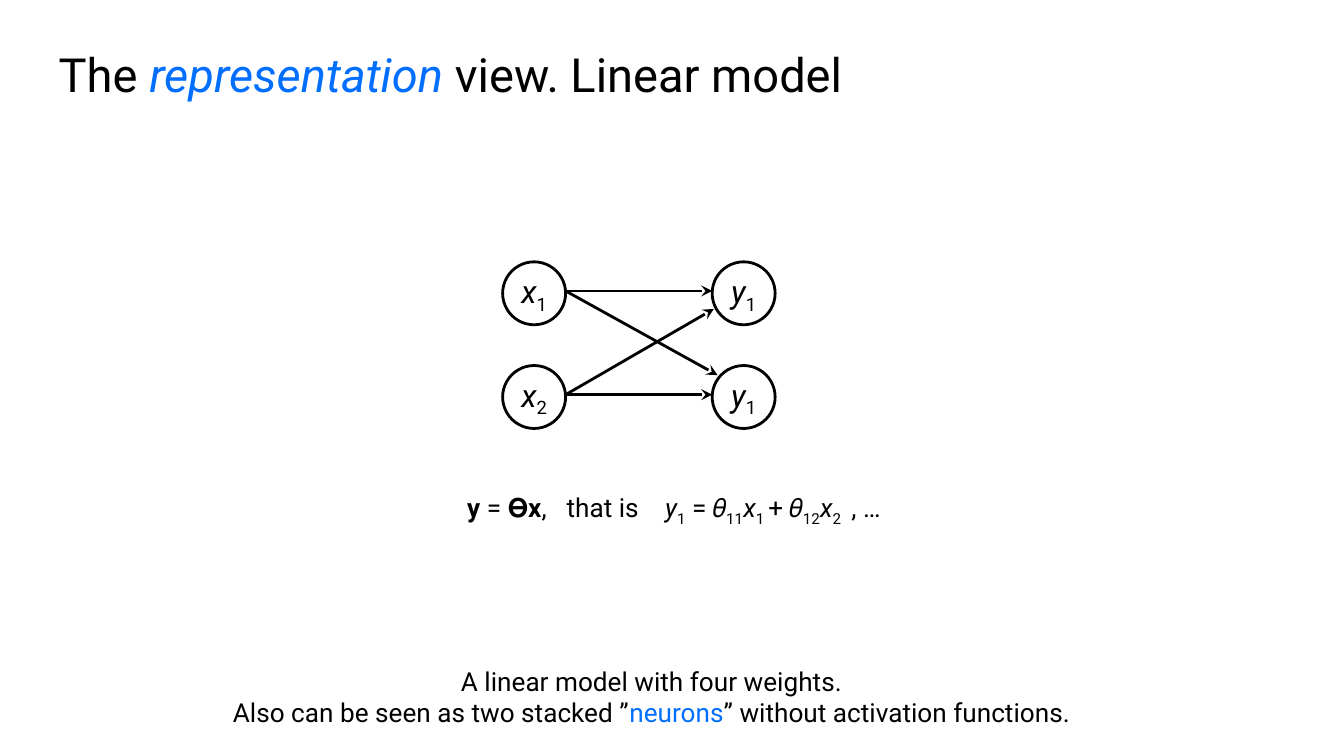
"""Build a slide showing a linear model as a small network of four weights."""
from lxml import etree
from pptx import Presentation
from pptx import util as u
from pptx.dml.color import RGBColor
from pptx.enum import shapes, text
from pptx.oxml.ns import qn

THEME = {
    "font": "Roboto", "ink": "000000", "accent": "006EFF", "paper": "FFFFFF",
    "title": 25.2, "node": 17, "body": 14, "line": 1.5,
}
STYLES = {
    "plain": {},
    "bold": {"bold": True},
    "italic": {"italic": True},
    "sub": {"baseline": "-25000"},
    "accent": {"color": "accent"},
    "accent italic": {"color": "accent", "italic": True},
}
TITLE = [[("The ", "plain"), ("representation", "accent italic"), (" view. Linear model", "plain")]]
CAPTION = [
    [("A linear model with four weights.", "plain")],
    [("Also can be seen as two stacked ”", "plain"), ("neurons", "accent"),
     ("” without activation functions.", "plain")],
]
EQUATION = [[
    ("y ", "bold"), ("=", "plain"), (" 𝚹x", "bold"), (",\tthat is\t", "plain"),
    ("y", "italic"), ("1", "sub"), (" = 𝜃", "plain"), ("11", "sub"),
    ("x", "italic"), ("1 ", "sub"), ("+ 𝜃", "plain"), ("12", "sub"),
    ("x", "italic"), ("2 ", "sub"), (" , …", "plain"),
]]
EQUATION_TABS = (1.88, 3.74)
TEXT_BOXES = [
    (TITLE, (0.86, 0.61, 23.67, 1.6), "title", "LEFT", ()),
    (CAPTION, (0.86, 12.32, 22.91, 1.7), "body", "CENTER", ()),
    (EQUATION, (8.58, 9.04, 10, 1.12), "body", "LEFT", EQUATION_TABS),
]
COLUMNS, ROWS, DIAMETER, PORT = (9.5, 13.46), (4.95, 6.91), 1.19, 0.55
NODES = [[("x", "1"), ("y", "1")], [("x", "2"), ("y", "1")]]
WEIGHTS = [(0, 0, (0, PORT)), (0, 1, (0.1, 0.18)), (1, 0, (0.03, 0.89)), (1, 1, (0, PORT))]


def color(name):
    return RGBColor.from_string(THEME[name])


def set_values(target, values):
    for name, value in values.items():
        setattr(target, name, value)


def write(frame, lines, size, align, tabs=()):
    for index, runs in enumerate(lines):
        paragraph = frame.paragraphs[0] if index == 0 else frame.add_paragraph()
        paragraph.alignment = getattr(text.PP_ALIGN, align)
        if tabs:
            tab_list = etree.SubElement(paragraph._p.get_or_add_pPr(), qn("a:tabLst"))
            for position in tabs:
                etree.SubElement(tab_list, qn("a:tab"), pos=str(u.Cm(position)), algn="l")
        for content, style in runs:
            values = dict(STYLES[style])
            run = paragraph.add_run()
            run.text = content
            run.font.color.rgb = color(values.pop("color", "ink"))
            if "baseline" in values:
                run._r.get_or_add_rPr().set("baseline", values.pop("baseline"))
            set_values(run.font, {"name": THEME["font"], "size": u.Pt(THEME[size]), **values})


def set_margins(frame, margin):
    sides = ("left", "top", "right", "bottom")
    set_values(frame, {f"margin_{side}": u.Cm(margin) for side in sides})


def set_line(shape):
    shape.line.color.rgb = color("ink")
    shape.line.width = u.Pt(THEME["line"])


def add_text(slide, lines, box, size, align, tabs):
    frame = slide.shapes.add_textbox(*map(u.Cm, box)).text_frame
    frame.word_wrap = True
    set_margins(frame, 0.25)
    write(frame, lines, size, align, tabs)


def add_node(slide, left, top, letter, number):
    box = map(u.Cm, (left, top, DIAMETER, DIAMETER))
    shape = slide.shapes.add_shape(shapes.MSO_SHAPE.OVAL, *box)
    shape.shadow.inherit = False
    shape.fill.solid()
    shape.fill.fore_color.rgb = color("paper")
    set_line(shape)
    frame = shape.text_frame
    set_values(frame, {"word_wrap": False, "vertical_anchor": text.MSO_ANCHOR.MIDDLE})
    set_margins(frame, 0)
    write(frame, [[(letter, "italic"), (number, "sub")]], "node", "CENTER")


def add_weight(slide, source, target, offset):
    start = (COLUMNS[0] + DIAMETER, ROWS[source] + PORT)
    end = (COLUMNS[1] + offset[0], ROWS[target] + offset[1])
    arrow = slide.shapes.add_connector(shapes.MSO_CONNECTOR.STRAIGHT, *map(u.Cm, start + end))
    set_line(arrow)
    etree.SubElement(arrow.line._get_or_add_ln(), qn("a:tailEnd"), type="stealth")
    etree.SubElement(arrow._element.spPr, qn("a:effectLst"))


def main():
    presentation = Presentation()
    set_values(presentation, {"slide_width": u.Cm(25.4), "slide_height": u.Cm(14.29)})
    slide = presentation.slides.add_slide(presentation.slide_layouts[6])
    for box in TEXT_BOXES:
        add_text(slide, *box)
    for top, labels in zip(ROWS, NODES):
        for left, label in zip(COLUMNS, labels):
            add_node(slide, left, top, *label)
    for weight in WEIGHTS:
        add_weight(slide, *weight)
    presentation.save("out.pptx")


if __name__ == "__main__":
    main()
